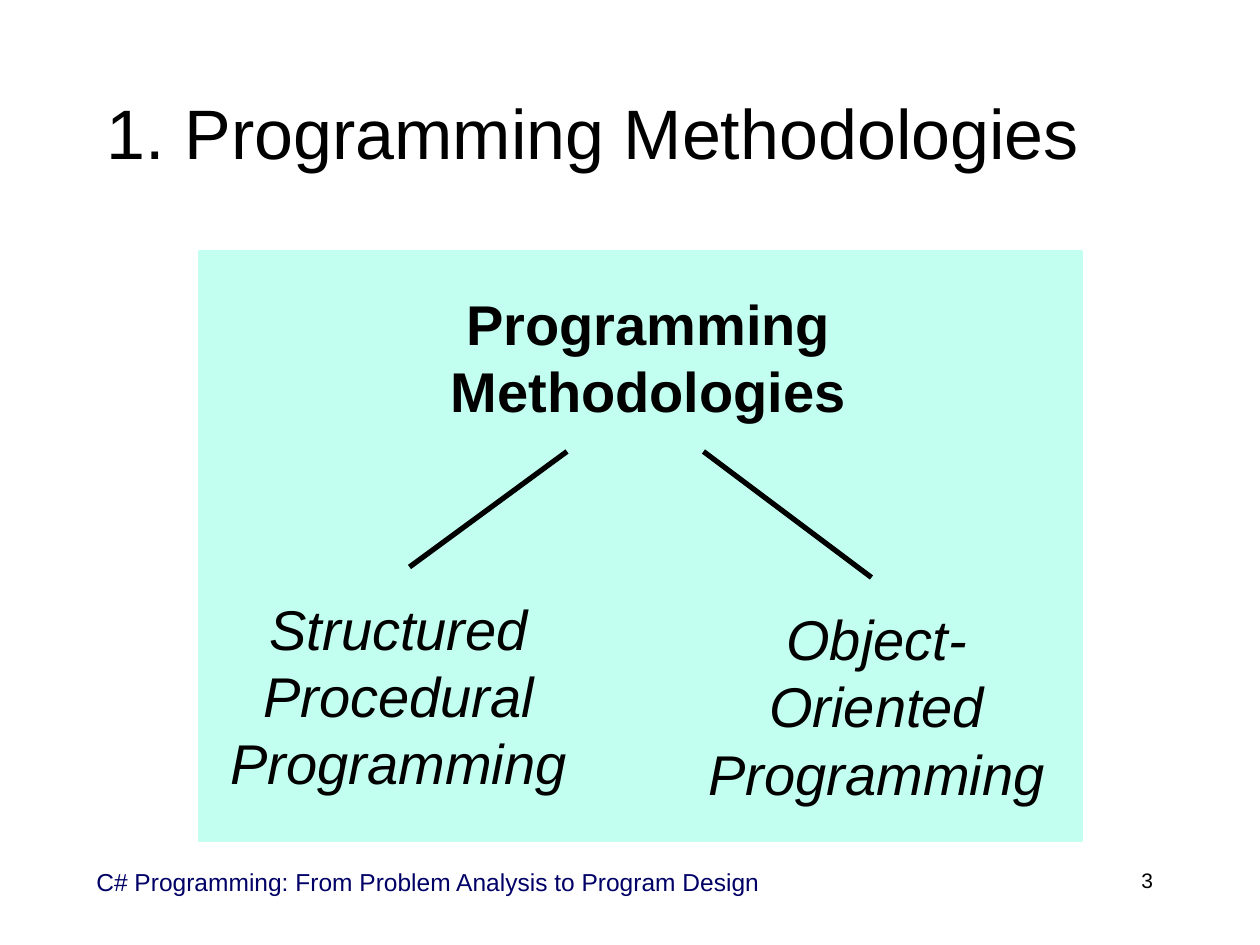
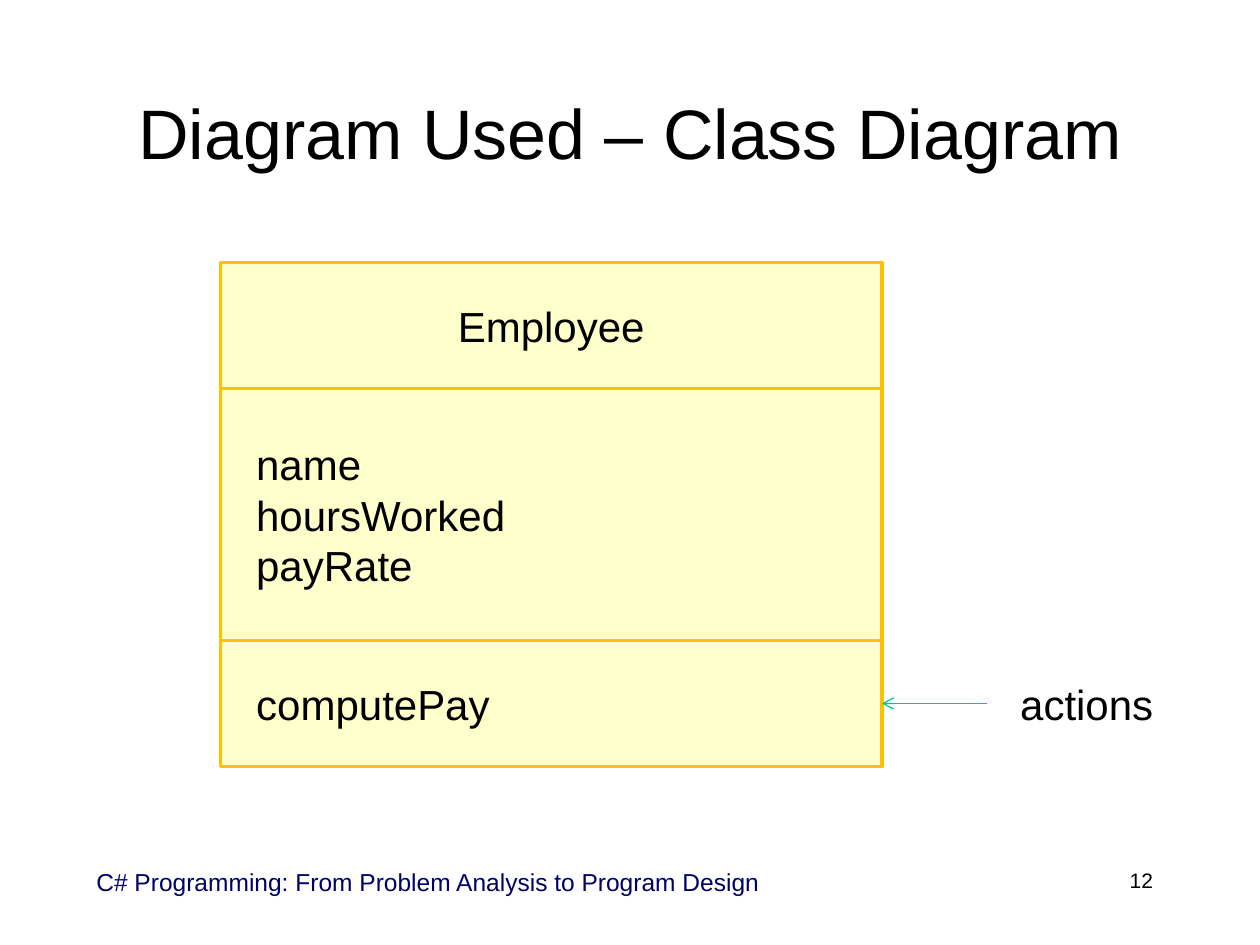
from lxml import etree
from pptx import Presentation
from pptx.dml.color import RGBColor
from pptx.enum import shapes, text
from pptx.oxml.ns import qn
from pptx.util import Pt

FONT = "Arial"
BLACK, WHITE, NAVY = "000000", "FFFFFF", "000066"
MINT, CREAM, GOLD, GREEN = "C2FFF0", "FFFFCC", "FFC000", "00C896"
LEFT, CENTER, RIGHT = text.PP_ALIGN.LEFT, text.PP_ALIGN.CENTER, text.PP_ALIGN.RIGHT
TOP, MIDDLE = text.MSO_ANCHOR.TOP, text.MSO_ANCHOR.MIDDLE
FOOTER = "C# Programming: From Problem Analysis to Program Design"


def color(value):
    return RGBColor.from_string(value)


def write(shape, lines, size, align=LEFT, anchor=TOP, ink=BLACK,
          bold=False, italic=False, indent=0):
    """Fill a shape or text box, one paragraph per line."""
    frame = shape.text_frame
    frame.word_wrap = True
    frame.vertical_anchor = anchor
    frame.text = "\n".join(lines)
    for para in frame.paragraphs:
        para.alignment = align
        if indent:
            para._p.get_or_add_pPr().set("marL", str(Pt(indent)))
        font = para.font
        font.name, font.size = FONT, Pt(size)
        font.bold, font.italic = bold, italic
        font.color.rgb = color(ink)


def add_label(page, area, words, size, **style):
    box = page.shapes.add_textbox(*map(Pt, area))
    write(box, [words], size, **style)


def add_rectangle(page, area, fill, outline=None):
    box = page.shapes.add_shape(shapes.MSO_SHAPE.RECTANGLE, *map(Pt, area))
    box.shadow.inherit = False
    box.fill.solid()
    box.fill.fore_color.rgb = color(fill)
    if outline:
        box.line.color.rgb = color(outline)
        box.line.width = Pt(2)
    else:
        box.line.fill.background()
    return box


def add_line(page, start, end, ink, width):
    line = page.shapes.add_connector(shapes.MSO_CONNECTOR.STRAIGHT,
                                     *map(Pt, start + end))
    line.line.color.rgb = color(ink)
    line.line.width = Pt(width)
    etree.SubElement(line._element.spPr, qn("a:effectLst"))
    return line


def add_arrow(page, source, target):
    """Point from the left side of source to the right side of target."""
    arrow = add_line(page, (0, 0), (0, 0), GREEN, 0.75)
    arrow.begin_connect(source, 1)
    arrow.end_connect(target, 3)
    etree.SubElement(arrow.line._get_or_add_ln(), qn("a:tailEnd"), type="arrow")


def add_page(deck, title, title_left, title_align, number):
    """Blank page with the shared title style and footer."""
    page = deck.slides.add_slide(deck.slide_layouts[6])
    title_width = 720 - 2 * title_left
    add_label(page, (title_left, 30, title_width, 90), title, 40,
              align=title_align, anchor=MIDDLE)
    add_label(page, (48, 492, 426, 36), FOOTER, 14, ink=NAVY)
    add_label(page, (516, 492, 150, 36), str(number), 12, align=RIGHT)
    return page


def build_methodologies(deck):
    page = add_page(deck, "1. Programming Methodologies", 54, LEFT, 3)
    add_rectangle(page, (114, 144, 504, 336), MINT, MINT)
    # Tree: root, two branches, two leaves
    add_label(page, (222, 162, 270, 90), "Programming Methodologies", 32,
              align=CENTER, bold=True, indent=27)
    add_line(page, (324, 258), (234, 324), BLACK, 3)
    add_line(page, (402, 258), (498, 330), BLACK, 3)
    leaves = [("Structured Procedural Programming", (120, 336, 216, 156)),
              ("Object-Oriented Programming", (384, 342, 234, 126))]
    for words, area in leaves:
        add_label(page, area, words, 32, align=CENTER, italic=True)


def build_class_diagram(deck):
    page = add_page(deck, "Diagram Used – Class Diagram", 24, CENTER, 12)
    # Class box: name, attributes, methods stacked without gaps
    sections = [(["Employee"], 72, CENTER, 0),
                (["name", "hoursWorked", "payRate"], 144, LEFT, 13.3),
                (["computePay"], 72, LEFT, 13.3)]
    top = 150
    for lines, height, align, indent in sections:
        section = add_rectangle(page, (126, top, 378, height), CREAM, GOLD)
        write(section, lines, 24, align=align, anchor=MIDDLE, indent=indent)
        top += height
    # Callout beside the methods section
    actions = add_rectangle(page, (564, 366, 114, 72), WHITE)
    write(actions, ["actions"], 24, align=CENTER, anchor=MIDDLE)
    add_arrow(page, actions, section)


def main():
    deck = Presentation()
    deck.slide_width, deck.slide_height = Pt(720), Pt(540)
    build_methodologies(deck)
    build_class_diagram(deck)
    deck.save("out.pptx")


if __name__ == "__main__":
    main()
